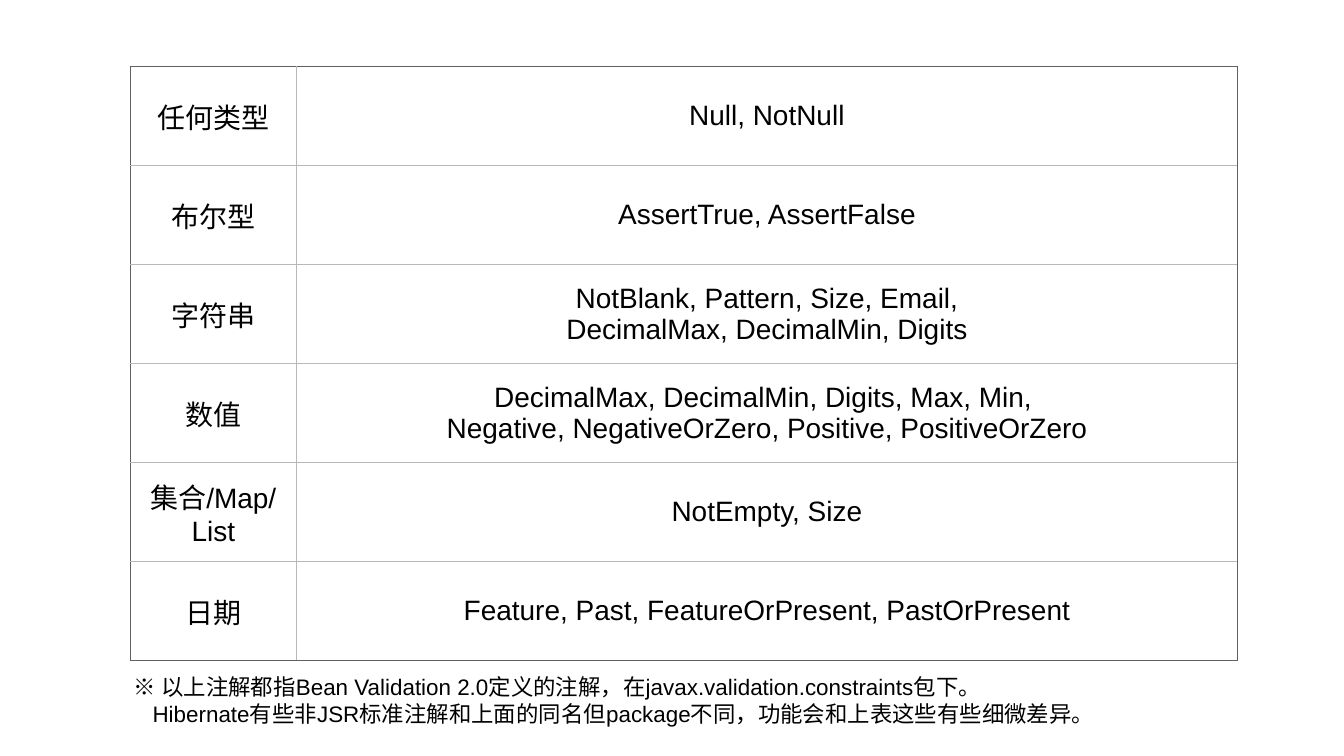
from dataclasses import dataclass

from lxml import etree
from pptx import Presentation
from pptx.dml.color import RGBColor
from pptx.enum.text import MSO_ANCHOR, MSO_AUTO_SIZE, PP_ALIGN
from pptx.oxml.ns import qn
from pptx.util import Cm, Pt

MIDDLE = MSO_ANCHOR.MIDDLE
CENTER = PP_ALIGN.CENTER
GROW = MSO_AUTO_SIZE.SHAPE_TO_FIT_TEXT
BLANK_LAYOUT = 6


@dataclass(frozen=True)
class Theme:
    font: str = "Arial"
    text: str = "000000"
    fill: str = "FFFFFF"
    outer: str = "606060"
    inner: str = "B8B8B8"
    table_size: int = 40
    note_size: int = 32
    border: int = 1


THEME = Theme()

CONSTRAINTS = [
    ("任何类型", "Null, NotNull"),
    ("布尔型", "AssertTrue, AssertFalse"),
    ("字符串", "NotBlank, Pattern, Size, Email,\vDecimalMax, DecimalMin, Digits"),
    ("数值", "DecimalMax, DecimalMin, Digits, Max, Min, \v"
             "Negative, NegativeOrZero, Positive, PositiveOrZero"),
    ("集合/Map/List", "NotEmpty, Size"),
    ("日期", "Feature, Past, FeatureOrPresent, PastOrPresent"),
]

NOTES = [
    ("※ 以上注解都指Bean Validation 2.0定义的注解，在javax.validation.constraints包下。", 0),
    ("Hibernate有些非JSR标准注解和上面的同名但package不同，功能会和上表这些有些细微差异。", 0.94),
]


def set_attrs(obj, values):
    for name, value in values.items():
        setattr(obj, name, value)


def margins(size):
    return {f"margin_{side}": Cm(size) for side in ("left", "top", "right", "bottom")}


def write(p, text, size):
    p.text = text
    set_attrs(p.font, {"name": THEME.font, "size": Pt(size)})
    p.font.color.rgb = RGBColor.from_string(THEME.text)
    for r in p.runs:
        set_attrs(r.font, {"name": THEME.font, "size": Pt(size)})
        r.font.color.rgb = RGBColor.from_string(THEME.text)


def set_borders(cell, edges):
    tcPr = cell._tc.get_or_add_tcPr()
    for side, is_outer in edges.items():
        ln = etree.SubElement(tcPr, qn(f"a:ln{side}"), w=str(Pt(THEME.border)))
        fill = etree.SubElement(ln, qn("a:solidFill"))
        color = THEME.outer if is_outer else THEME.inner
        etree.SubElement(fill, qn("a:srgbClr"), val=color)


def add_constraint_table(s, left, top, width, height, label_width):
    n_rows, n_cols = len(CONSTRAINTS), len(CONSTRAINTS[0])
    frame = s.shapes.add_table(n_rows, n_cols, Cm(left), Cm(top), Cm(width), Cm(height))
    table = frame.table
    set_attrs(table, {"first_row": False, "horz_banding": False})
    for col, col_width in zip(table.columns, (label_width, width - label_width)):
        col.width = Cm(col_width)
    for i, values in enumerate(CONSTRAINTS):
        table.rows[i].height = Cm(height / n_rows)
        for j, text in enumerate(values):
            cell = table.cell(i, j)
            set_attrs(cell, {"vertical_anchor": MIDDLE, **margins(0.15)})
            set_borders(cell, {"L": j == 0, "R": j == n_cols - 1,
                               "T": i == 0, "B": i == n_rows - 1})
            cell.fill.solid()
            cell.fill.fore_color.rgb = RGBColor.from_string(THEME.fill)
            p = cell.text_frame.paragraphs[0]
            p.alignment = CENTER
            write(p, text, THEME.table_size)


def add_notes(s, left, top, width, height):
    sp = s.shapes.add_textbox(Cm(left), Cm(top), Cm(width), Cm(height))
    tf = sp.text_frame
    set_attrs(tf, {"word_wrap": True, "auto_size": GROW,
                   "vertical_anchor": MIDDLE, **margins(0.2)})
    for i, (text, indent) in enumerate(NOTES):
        p = tf.add_paragraph() if i else tf.paragraphs[0]
        p._p.get_or_add_pPr().set("marL", str(Cm(indent)))
        write(p, text, THEME.note_size)


def main():
    prs = Presentation()
    set_attrs(prs, {"slide_width": Cm(67.74), "slide_height": Cm(38.1)})
    s = prs.slides.add_slide(prs.slide_layouts[BLANK_LAYOUT])
    add_constraint_table(s, 6.55, 3.35, 55.8, 29.94, 8.4)
    add_notes(s, 6.55, 33.48, 51.92, 3.6)
    prs.save("out.pptx")


if __name__ == "__main__":
    main()
